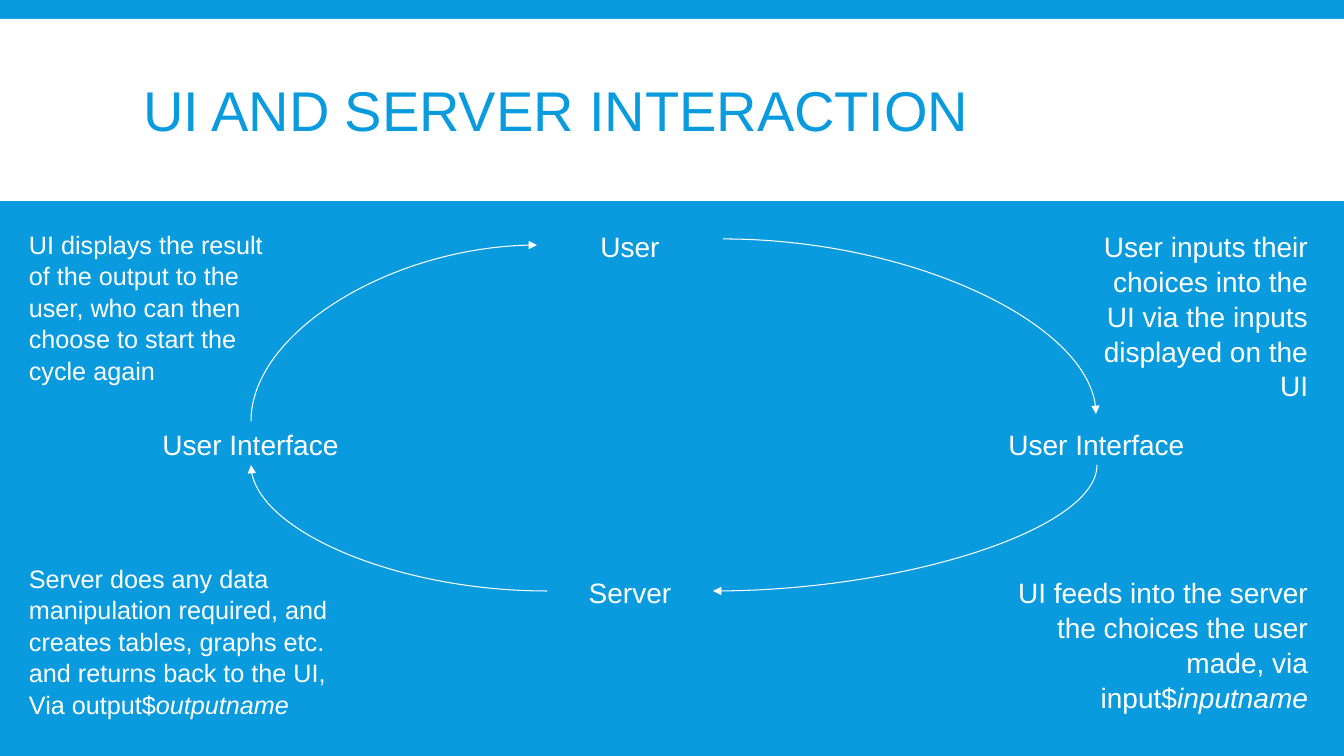
from lxml import etree
from pptx import Presentation
from pptx.dml.color import RGBColor
from pptx.enum.shapes import MSO_CONNECTOR, MSO_SHAPE
from pptx.enum.text import MSO_ANCHOR, MSO_AUTO_SIZE, PP_ALIGN
from pptx.oxml.ns import qn
from pptx.util import Emu, Pt

SCALE = 914400 / 100.8
BLUE, WHITE = "099BDD", "FFFFFF"
LEFT, CENTER, RIGHT = PP_ALIGN.LEFT, PP_ALIGN.CENTER, PP_ALIGN.RIGHT

# Content: box, size, alignment, paragraphs of (text, italic) runs
TITLE = "UI AND SERVER INTERACTION"
TITLE_BOX = (133, 31, 1079, 166)
BAND_BOX = (0, 19, 1344, 182)
TEXTS = [
    ((537, 223, 186, 44), 20, CENTER, [[("User", False)]]),
    ((982, 421, 229, 44), 20, CENTER, [[("User Interface", False)]]),
    ((547, 569, 166, 44), 20, CENTER, [[("Server", False)]]),
    ((150, 421, 201, 44), 20, CENTER, [[("User Interface", False)]]),
    ((1068, 223, 250, 179), 20, RIGHT,
     [[("User inputs their choices into the UI via the inputs displayed on the UI", False)]]),
    ((982, 569, 336, 146), 20, RIGHT,
     [[("UI feeds into the server the choices the user made, via input$", False),
       ("inputname", True)]]),
    ((19, 557, 320, 163), 18, LEFT,
     [[("Server does any data manipulation required, and creates tables, graphs etc. "
        "and returns back to the UI, ", False)],
      [("Via output$", False), ("outputname", True)]]),
    ((19, 223, 279, 163), 18, LEFT,
     [[("UI displays the result of the output to the user, who can then choose "
        "to start the cycle again", False)]]),
]
# Arrows clockwise, each a quarter turn on from the one before
ARROWS = [
    ((723, 239), (1096, 414)),
    ((1097, 465), (713, 591)),
    ((547, 591), (251, 465)),
    ((251, 421), (537, 245)),
]


def px(value):
    return Emu(round(value * SCALE))


def color(value):
    return RGBColor.from_string(value)


def set_values(target, values):
    for name, value in values.items():
        setattr(target, name, value)


def place(shape, box):
    set_values(shape, dict(zip(("left", "top", "width", "height"), map(px, box))))


def add_run(paragraph, text, size, hex_color, italic=False):
    run = paragraph.add_run()
    run.text = text
    set_values(run.font, {"name": "Arial", "size": Pt(size), "italic": italic})
    run.font.color.rgb = color(hex_color)


def add_text(slide, box, size, alignment, paragraphs):
    shape = slide.shapes.add_textbox(*map(px, box))
    frame = shape.text_frame
    set_values(frame, {"word_wrap": True, "auto_size": MSO_AUTO_SIZE.SHAPE_TO_FIT_TEXT})
    for index, runs in enumerate(paragraphs):
        paragraph = frame.add_paragraph() if index else frame.paragraphs[0]
        set_values(paragraph, {"alignment": alignment, "line_spacing": 1.04})
        for text, italic in runs:
            add_run(paragraph, text, size, WHITE, italic)


def add_arrow(slide, start, end, quarter_turns):
    center_x, center_y = (start[0] + end[0]) / 2, (start[1] + end[1]) / 2
    width, height = abs(end[0] - start[0]), abs(end[1] - start[1])
    if quarter_turns % 2:
        width, height = height, width
    corners = (center_x - width / 2, center_y - height / 2,
               center_x + width / 2, center_y + height / 2)
    connector = slide.shapes.add_connector(MSO_CONNECTOR.CURVE, *map(px, corners))
    connector.line.color.rgb = color(WHITE)
    connector.line.width = Pt(0.75)
    properties = connector._element.spPr
    properties.find(qn("a:prstGeom")).set("prst", "curvedConnector2")
    properties.find(qn("a:xfrm")).set("rot", str(quarter_turns * 5400000))
    etree.SubElement(properties.find(qn("a:ln")), qn("a:tailEnd")).set("type", "triangle")
    etree.SubElement(properties, qn("a:effectLst"))


presentation = Presentation()
set_values(presentation, {"slide_width": px(1344), "slide_height": px(756)})
slide = presentation.slides.add_slide(presentation.slide_layouts[5])
slide.background.fill.solid()
slide.background.fill.fore_color.rgb = color(BLUE)

# White band behind the title
band = slide.shapes.add_shape(MSO_SHAPE.RECTANGLE, *map(px, BAND_BOX))
band.fill.solid()
band.fill.fore_color.rgb = color(WHITE)
band.line.fill.background()
band.shadow.inherit = False
slide.shapes.title._element.addprevious(band._element)

# Title
title = slide.shapes.title
place(title, TITLE_BOX)
set_values(title.text_frame, {"vertical_anchor": MSO_ANCHOR.MIDDLE, "word_wrap": True})
heading = title.text_frame.paragraphs[0]
set_values(heading, {"alignment": LEFT, "line_spacing": 0.85})
add_run(heading, TITLE, 40, BLUE)

# Cycle labels, explanations and arrows
for text in TEXTS:
    add_text(slide, *text)
for turns, (start, end) in enumerate(ARROWS):
    add_arrow(slide, start, end, turns)

presentation.save("out.pptx")
